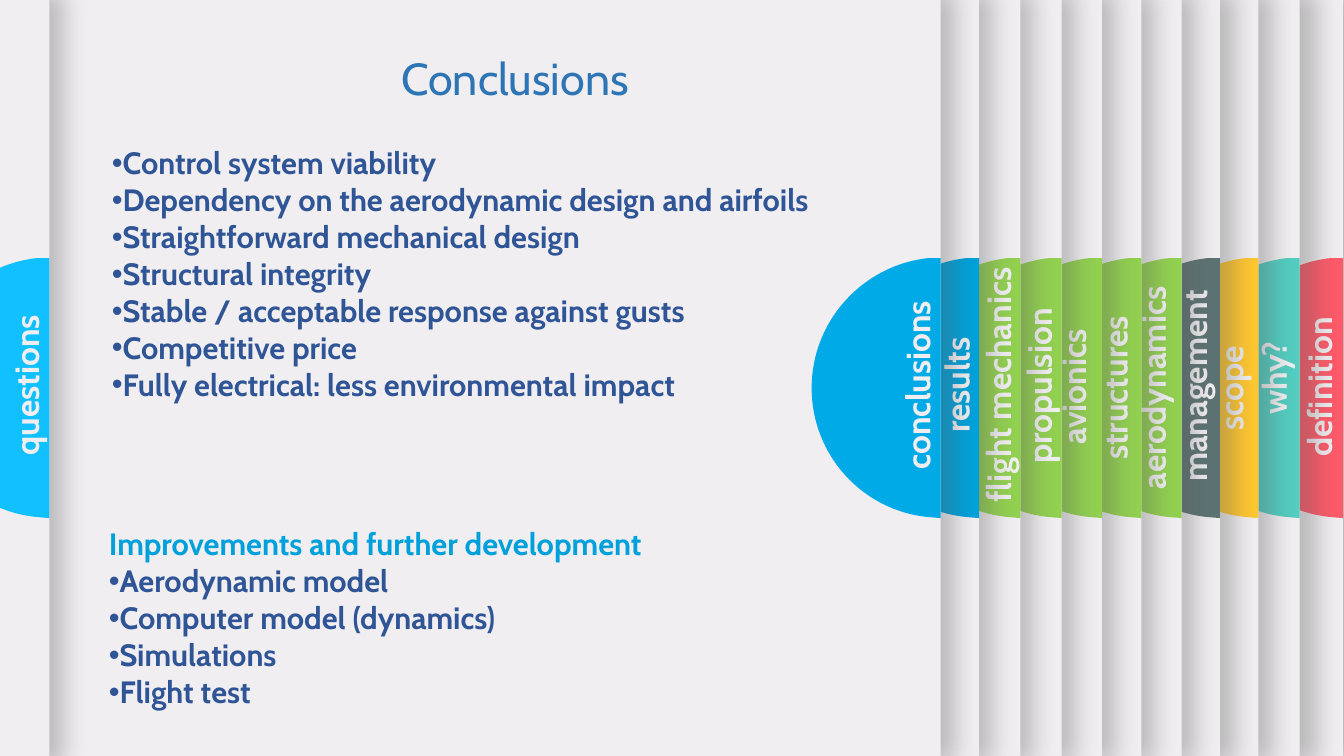
from dataclasses import dataclass

from lxml.etree import SubElement as Sub
from pptx import Presentation
from pptx.dml.color import RGBColor as Rgb
from pptx.enum.text import MSO_ANCHOR as Anchor, MSO_AUTO_SIZE as Fit, PP_ALIGN as Align
from pptx.oxml.ns import qn
from pptx.util import Inches, Pt


@dataclass(frozen=True)
class Theme:
    font: str = "Cabin"
    paper: str = "F0EEF0"
    shade: str = "595959"
    title: str = "2E75B6"
    body: str = "2F5597"
    head: str = "00A1DA"
    title_size: int = 32
    body_size: int = 22
    tab_size: int = 24


# Tab outline as distance left of the panel edge and height on the slide:
# two corners, the start of the arc, then two curves of three points each
ARC = [(0, 2.56), (0, 5.14), (0.12, 5.13),
       (0.77, 5.07), (1.28, 4.52), (1.28, 3.85),
       (1.28, 3.18), (0.77, 2.63), (0.12, 2.56)]

# Label, tab colour, panel left and width, label left, top and width; back to front
TABS = [
    ("definition", "FF5969", -0.33, 13.65, 11.99, 3.59, 2.18),
    ("why?", "52CDC0", 0.37, 12.52, 11.54, 3.5, 2.18),
    ("scope", "FFC730", 1.59, 10.89, 11.11, 3.6, 2.18),
    ("management", "5D7373", 1.63, 10.47, 10.5, 3.58, 2.68),
    ("aerodynamics", "92D050", 2.21, 9.51, 10.14, 3.6, 2.58),
    ("structures", "92D050", 1.81, 9.51, 9.96, 3.6, 2.18),
    ("avionics", "92D050", 1.42, 9.51, 9.55, 3.59, 2.18),
    ("propulsion", "92D050", 1.02, 9.51, 9.21, 3.58, 2.18),
    ("flight mechanics", "92D050", 0.61, 9.51, 8.6, 3.57, 2.59),
    ("results", "00A1DA", 0.2, 9.51, 8.19, 3.57, 2.59),
    ("conclusions", "00AAE6", -0.18, 9.51, 7.8, 3.57, 2.59),
    ("questions", "11C1FF", -9.02, 9.51, -1.04, 3.57, 2.59),
]

GOALS = [
    "Control system viability",
    "Dependency on the aerodynamic design and airfoils",
    "Straightforward mechanical design",
    "Structural integrity",
    "Stable / acceptable response against gusts",
    "Competitive price",
    "Fully electrical: less environmental impact",
]

PLANS = [
    "Improvements and further development",
    "Aerodynamic model",
    "Computer model (dynamics)",
    "Simulations",
    "Flight test",
]


class Deck:
    def __init__(self, theme):
        self.theme = theme
        self.prs = Presentation()
        self.prs.slide_width, self.prs.slide_height = Inches(13.33), Inches(7.5)
        self.slide = self.prs.slides.add_slide(self.prs.slide_layouts[3])
        self.paint(self.slide.background.fill, theme.paper)

    def paint(self, fill, color):
        fill.solid()
        fill.fore_color.rgb = Rgb.from_string(color)

    def style(self, para, size, color, bold=True, align=Align.LEFT):
        para.alignment = align
        para.line_spacing = 1.0
        para.space_before = para.space_after = Pt(0)
        for run in para.runs:
            font = run.font
            font.name, font.size, font.bold = self.theme.font, Pt(size), bold
            font.color.rgb = Rgb.from_string(color)

    def frame(self, shape, text):
        frame = shape.text_frame
        frame.text = text
        frame.word_wrap = True
        frame.auto_size = Fit.SHAPE_TO_FIT_TEXT
        frame.vertical_anchor = Anchor.TOP
        return frame.paragraphs

    def holder(self, index, box):
        """Move a placeholder into its box, in front of the panels."""
        shape = self.slide.placeholders[index]
        shape.left, shape.top, shape.width, shape.height = map(Inches, box)
        shape.element.getparent().append(shape.element)
        return shape

    def title(self, text, box):
        para = self.frame(self.holder(0, box), text)[0]
        self.style(para, self.theme.title_size, self.theme.title, False, Align.CENTER)

    def bullets(self, index, lines, box, headed=False):
        paras = self.frame(self.holder(index, box), "\n".join(lines))
        for row, para in enumerate(paras):
            head = headed and row == 0
            props = para._p.get_or_add_pPr()
            props.set("marL", "0")
            props.set("indent", "0")
            if head:
                Sub(props, qn("a:buNone"))
            else:
                Sub(props, qn("a:buChar"), char="•")
            color = self.theme.head if head else self.theme.body
            self.style(para, self.theme.body_size, color)

    def panel(self, shapes, left, width):
        panel = shapes.add_shape(1, Inches(left), 0, Inches(width), self.prs.slide_height)
        self.paint(panel.fill, self.theme.paper)
        panel.line.fill.background()
        panel.shadow.inherit = False
        effects = panel.element.spPr.find(qn("a:effectLst"))
        shadow = Sub(effects, qn("a:outerShdw"), blurRad=str(Pt(17)), dist=str(Pt(3)),
                     dir="0", sx="102000", sy="102000", algn="ctr", rotWithShape="0")
        color = Sub(shadow, qn("a:srgbClr"), val=self.theme.shade)
        Sub(color, qn("a:alpha"), val="35000")

    def disc(self, shapes, edge, color):
        """Draw the half disc that ends at the panel's right edge."""
        points = [(Inches(edge - back), Inches(top)) for back, top in ARC]
        pen = shapes.build_freeform(*points[0])
        pen.add_line_segments(points[1:], close=True)
        disc = pen.convert_to_shape()
        # Turn each three points of the arc into one curve
        lines = list(disc.element.iter(qn("a:lnTo")))[2:]
        for start in (0, 3):
            curve = lines[start].makeelement(qn("a:cubicBezTo"))
            lines[start].addprevious(curve)
            for line in lines[start:start + 3]:
                curve.append(line[0])
                line.getparent().remove(line)
        self.paint(disc.fill, color)
        disc.line.fill.background()
        disc.shadow.inherit = False

    def label(self, shapes, text, left, top, width):
        box = shapes.add_textbox(*map(Inches, (left, top, width, 0.5)))
        box.rotation = 270
        para = self.frame(box, text)[0]
        self.style(para, self.theme.tab_size, self.theme.paper, align=Align.CENTER)

    def tab(self, text, color, left, width, *place):
        shapes = self.slide.shapes.add_group_shape().shapes
        self.panel(shapes, left, width)
        self.disc(shapes, left + width, color)
        self.label(shapes, text, *place)


def main():
    deck = Deck(Theme())

    # Stacked panels with their tabs
    for tab in TABS:
        deck.tab(*tab)

    # Lists and title on the front panel
    deck.bullets(2, PLANS, (0.98, 5.16, 7.33, 1.95), headed=True)
    deck.bullets(1, GOALS, (1.01, 1.38, 7.33, 2.69))
    deck.title("Conclusions", (1.13, 0.45, 7.96, 0.64))

    deck.prs.save("out.pptx")


if __name__ == "__main__":
    main()
